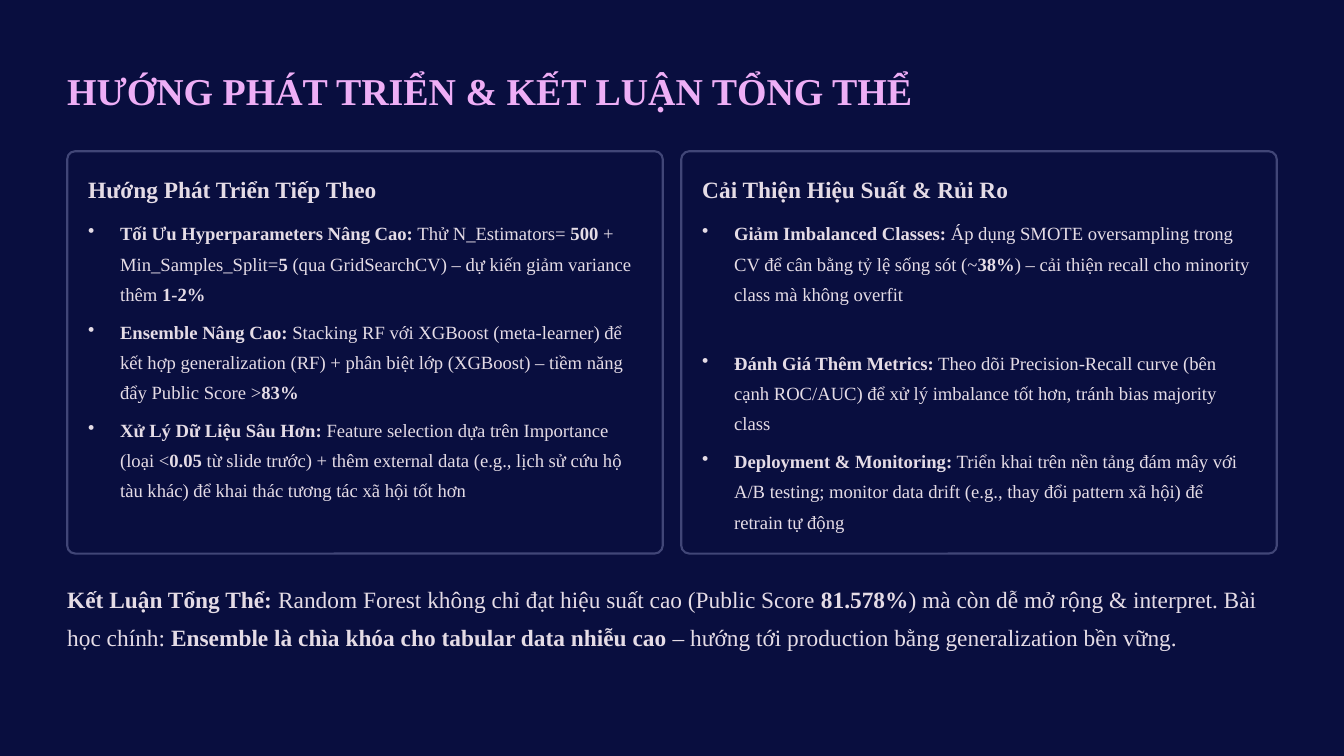
import pptx
import pptx.dml.color
import pptx.enum.shapes
import pptx.enum.text
import pptx.oxml
import pptx.oxml.ns
import pptx.util
from pptx.util import Inches

NAVY = pptx.dml.color.RGBColor(0x09, 0x0E, 0x3F)
BORDER = pptx.dml.color.RGBColor(0x41, 0x46, 0x77)
PINK = pptx.dml.color.RGBColor(0xEE, 0xAE, 0xF6)
PALE = pptx.dml.color.RGBColor(0xE5, 0xDC, 0xE6)
FONT = "Times New Roman"

MARGIN = 0.8
CARD_TOP, CARD_WIDTH, CARD_HEIGHT, CARD_GAP = 1.8, 7.09, 4.79, 0.22
CARD_PADDING = 0.25
ITEM_GAP = 0.08
THREE_LINES, FOUR_LINES = 1.09, 1.46

# Text between ** marks is bold.
TITLE = "**HƯỚNG PHÁT TRIỂN & KẾT LUẬN TỔNG THỂ**"
CARDS = [
    ("**Hướng Phát Triển Tiếp Theo**", [
        ("**Tối Ưu Hyperparameters Nâng Cao:** Thử N_Estimators= **500** + "
         "Min_Samples_Split=**5** (qua GridSearchCV) – dự kiến giảm variance "
         "thêm **1-2%**", THREE_LINES),
        ("**Ensemble Nâng Cao:** Stacking RF với XGBoost (meta-learner) để "
         "kết hợp generalization (RF) + phân biệt lớp (XGBoost) – tiềm năng "
         "đẩy Public Score >**83%**", THREE_LINES),
        ("**Xử Lý Dữ Liệu Sâu Hơn:** Feature selection dựa trên Importance "
         "(loại <**0.05** từ slide trước) + thêm external data (e.g., lịch sử "
         "cứu hộ tàu khác) để khai thác tương tác xã hội tốt hơn", FOUR_LINES),
    ]),
    ("**Cải Thiện Hiệu Suất & Rủi Ro**", [
        ("**Giảm Imbalanced Classes:** Áp dụng SMOTE oversampling trong CV để "
         "cân bằng tỷ lệ sống sót (~**38%**) – cải thiện recall cho minority "
         "class mà không overfit", FOUR_LINES),
        ("**Đánh Giá Thêm Metrics:** Theo dõi Precision-Recall curve (bên "
         "cạnh ROC/AUC) để xử lý imbalance tốt hơn, tránh bias majority class",
         THREE_LINES),
        ("**Deployment & Monitoring:** Triển khai trên nền tảng đám mây với "
         "A/B testing; monitor data drift (e.g., thay đổi pattern xã hội) để "
         "retrain tự động", THREE_LINES),
    ]),
]
CONCLUSION = (
    "**Kết Luận Tổng Thể:** Random Forest không chỉ đạt hiệu suất cao (Public "
    "Score **81.578%**) mà còn dễ mở rộng & interpret. Bài học chính: "
    "**Ensemble là chìa khóa cho tabular data nhiễu cao** – hướng tới "
    "production bằng generalization bền vững.")


def add_bullet(paragraph):
    properties = paragraph._p.get_or_add_pPr()
    properties.set("marL", str(Inches(0.38)))
    properties.set("indent", str(-Inches(0.38)))
    bullet = pptx.oxml.parse_xml(
        f'<a:buChar {pptx.oxml.ns.nsdecls("a")} char="•"/>')
    properties.append(bullet)


def write_text(shape, text, size, line_spacing, color=PALE, wrap=True,
               bullet=False):
    """Fill the shape with one paragraph, bold between ** marks."""
    frame = shape.text_frame
    frame.margin_left = frame.margin_right = 0
    frame.margin_top = frame.margin_bottom = 0
    frame.word_wrap = wrap
    frame.auto_size = pptx.enum.text.MSO_AUTO_SIZE.NONE
    frame.vertical_anchor = pptx.enum.text.MSO_ANCHOR.TOP
    paragraph = frame.paragraphs[0]
    if bullet:
        add_bullet(paragraph)
    paragraph.alignment = pptx.enum.text.PP_ALIGN.LEFT
    paragraph.line_spacing = pptx.util.Pt(line_spacing)
    for index, part in enumerate(text.split("**")):
        if part:
            run = paragraph.add_run()
            run.text = part
            run.font.name = FONT
            run.font.size = pptx.util.Pt(size)
            run.font.bold = index % 2 == 1
            run.font.color.rgb = color


def add_text(slide, left, top, width, height, text, size, line_spacing,
             **options):
    box = slide.shapes.add_textbox(
        Inches(left), Inches(top), Inches(width), Inches(height))
    write_text(box, text, size, line_spacing, **options)


def set_title(slide, left, top, width, height):
    title = slide.shapes.title
    title.left, title.top = Inches(left), Inches(top)
    title.width, title.height = Inches(width), Inches(height)
    write_text(title, TITLE, 32.5, 40.5, color=PINK, wrap=False)


def add_card(slide, left, top, width, height, heading, items):
    card = slide.shapes.add_shape(
        pptx.enum.shapes.MSO_SHAPE.ROUNDED_RECTANGLE,
        Inches(left), Inches(top), Inches(width), Inches(height))
    card.adjustments[0] = 0.02
    card.shadow.inherit = False
    card.fill.solid()
    card.fill.fore_color.rgb = NAVY
    card.line.color.rgb = BORDER
    card.line.width = pptx.util.Pt(1.8)

    text_left = left + CARD_PADDING
    text_width = width - 2 * CARD_PADDING
    add_text(slide, text_left, top + 0.26, text_width, 0.36, heading,
             20, 25.5, wrap=False)
    item_top = top + 0.75
    for text, item_height in items:
        add_text(slide, text_left, item_top, text_width, item_height, text,
                 16, 26, bullet=True)
        item_top += item_height + ITEM_GAP


def main():
    presentation = pptx.Presentation()
    presentation.slide_width = Inches(16)
    presentation.slide_height = Inches(9)
    slide = presentation.slides.add_slide(presentation.slide_layouts[5])
    slide.background.fill.solid()
    slide.background.fill.fore_color.rgb = NAVY

    set_title(slide, MARGIN, 0.78, 10.6, 0.57)
    for column, (heading, items) in enumerate(CARDS):
        left = MARGIN + column * (CARD_WIDTH + CARD_GAP)
        add_card(slide, left, CARD_TOP, CARD_WIDTH, CARD_HEIGHT, heading, items)
    add_text(slide, MARGIN, 6.85, 2 * CARD_WIDTH + CARD_GAP, 1.36, CONCLUSION,
             20, 32.5)
    presentation.save("out.pptx")


if __name__ == "__main__":
    main()
